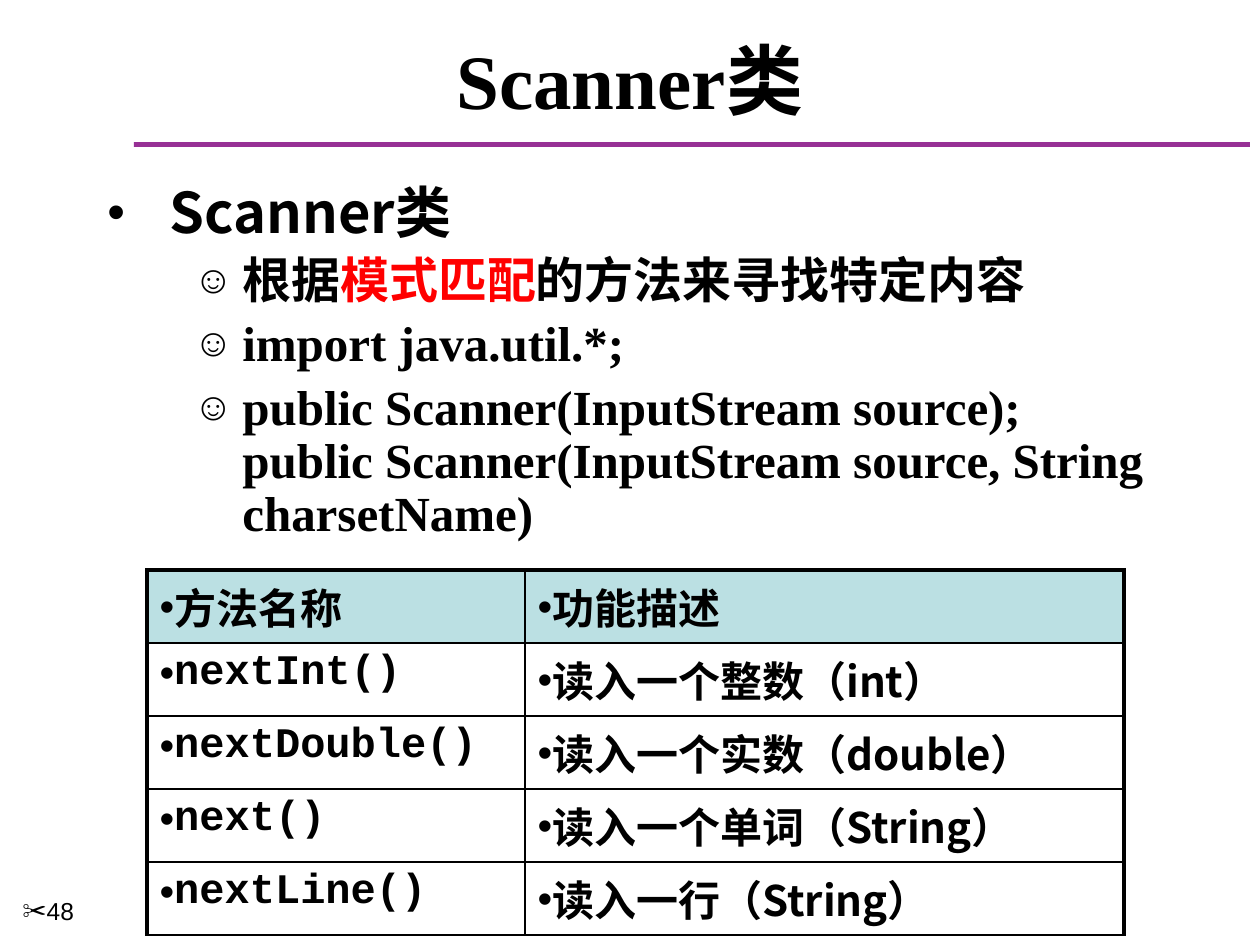
"""Build the Scanner class slide with its bullets and method table."""
import lxml.etree
import pptx
import pptx.dml.color
import pptx.enum.shapes
import pptx.enum.text
import pptx.oxml.ns
import pptx.util

SANS, SERIF, MONO = "Noto Sans CJK SC", "Times New Roman", "Courier New"
BLACK, RED, PURPLE, HEADER = "000000", "FF0000", "973095", "BBE0E3"

TITLE = [("Scanner", SERIF, BLACK), ("类", SANS, BLACK)]
TOP = dict(char="•", percent=90, margin=62, hang=62, size=32, before=0)
SUB = dict(char="☺", percent=80, margin=135, hang=49, size=28, before=6, level=1)
BODY = [
    (TOP, [("Scanner类", SANS, BLACK)]),
    (SUB, [("根据", SERIF, BLACK), ("模式匹配", SERIF, RED),
           ("的方法来寻找特定内容", SERIF, BLACK)]),
    (SUB, [("import java.util.*;", SERIF, BLACK)]),
    (SUB, [("public Scanner(InputStream source);\n"
            "public Scanner(InputStream source, String charsetName)", SERIF, BLACK)]),
]
METHODS = [
    ("方法名称", "功能描述"),
    ("nextInt()", "读入一个整数（int）"),
    ("nextDouble()", "读入一个实数（double）"),
    ("next()", "读入一个单词（String）"),
    ("nextLine()", "读入一行（String）"),
]
COLUMNS, ROW_HEIGHT = (378, 599), 73
THICK, THIN = 2.25, 1


def px(n):
    return pptx.util.Emu(round(n * 914400 / 126))


def rgb(value):
    return pptx.dml.color.RGBColor.from_string(value)


def element(parent, tag, **attrs):
    el = lxml.etree.SubElement(parent, pptx.oxml.ns.qn(tag))
    for name, value in attrs.items():
        el.set(name, str(value))
    return el


def assign(obj, **values):
    for name, value in values.items():
        setattr(obj, name, value)


def add_runs(p, runs, size, bold=True):
    for text, face, color in runs:
        for i, line in enumerate(text.split("\n")):
            if i:
                p.add_line_break()
            r = p.add_run()
            r.text = line
            assign(r.font, name=face, size=pptx.util.Pt(size), bold=bold)
            r.font.color.rgb = rgb(color)
            element(r.font._element, "a:ea", typeface=SANS)


def add_bullet(p, char, percent=100, margin=0, hang=0):
    p_pr = p._p.get_or_add_pPr()
    p_pr.set("marL", str(px(margin)))
    p_pr.set("indent", str(px(-hang)))
    element(element(p_pr, "a:buClr"), "a:srgbClr", val=BLACK)
    element(p_pr, "a:buSzPct", val=percent * 1000)
    element(p_pr, "a:buFont", typeface="Arial")
    element(p_pr, "a:buChar", char=char)


def add_border(cell, side, width):
    ln = element(cell._tc.get_or_add_tcPr(), f"a:ln{side}", w=pptx.util.Pt(width))
    element(element(ln, "a:solidFill"), "a:srgbClr", val=BLACK)


def add_text_box(slide, *box):
    tf = slide.shapes.add_textbox(*map(px, box)).text_frame
    tf.word_wrap = True
    return tf


def add_title(slide):
    sp = slide.shapes.title
    assign(sp, left=px(21), top=px(32), width=px(1218), height=px(94))
    sp.text_frame.vertical_anchor = pptx.enum.text.MSO_ANCHOR.MIDDLE
    p = sp.text_frame.paragraphs[0]
    p.alignment = pptx.enum.text.PP_ALIGN.CENTER
    add_runs(p, TITLE, 44)
    rule = slide.shapes.add_shape(
        pptx.enum.shapes.MSO_SHAPE.RECTANGLE, px(134), px(142), px(1116), px(5))
    rule.shadow.inherit = False
    rule.fill.solid()
    rule.fill.fore_color.rgb = rgb(PURPLE)
    rule.line.fill.background()


def add_body(slide):
    tf = add_text_box(slide, 95, 179, 1092, 388)
    for i, (style, runs) in enumerate(BODY):
        p = tf.add_paragraph() if i else tf.paragraphs[0]
        add_bullet(p, *(style[k] for k in ("char", "percent", "margin", "hang")))
        assign(p, level=style.get("level", 0), line_spacing=0.9,
               space_before=pptx.util.Pt(style["before"]))
        add_runs(p, runs, style["size"])


def add_methods(slide):
    rows, cols = len(METHODS), len(COLUMNS)
    table = slide.shapes.add_table(
        rows, cols, px(147), px(570), px(sum(COLUMNS)), px(rows * ROW_HEIGHT)).table
    assign(table, first_row=False, horz_banding=False)
    for column, width in zip(table.columns, COLUMNS):
        column.width = px(width)
    for i, texts in enumerate(METHODS):
        table.rows[i].height = px(ROW_HEIGHT)
        for j, text in enumerate(texts):
            cell = table.cell(i, j)
            add_border(cell, "L", THIN if j else THICK)
            add_border(cell, "R", THICK if j == cols - 1 else THIN)
            add_border(cell, "T", THIN if i else THICK)
            add_border(cell, "B", THIN)
            if i:
                cell.fill.background()
            else:
                cell.fill.solid()
                cell.fill.fore_color.rgb = rgb(HEADER)
            p = cell.text_frame.paragraphs[0]
            add_bullet(p, "•")
            add_runs(p, [(text, MONO if i and not j else SANS, BLACK)], 24)


def add_page_number(slide):
    p = add_text_box(slide, 10, 890, 136, 55).paragraphs[0]
    add_bullet(p, "✂")
    add_runs(p, [("48", "Arial", BLACK)], 14, bold=False)


def main():
    prs = pptx.Presentation()
    assign(prs, slide_width=px(1260), slide_height=px(945))
    slide = prs.slides.add_slide(prs.slide_layouts[5])
    add_title(slide)
    add_page_number(slide)
    add_body(slide)
    add_methods(slide)
    prs.save("out.pptx")


if __name__ == "__main__":
    main()
